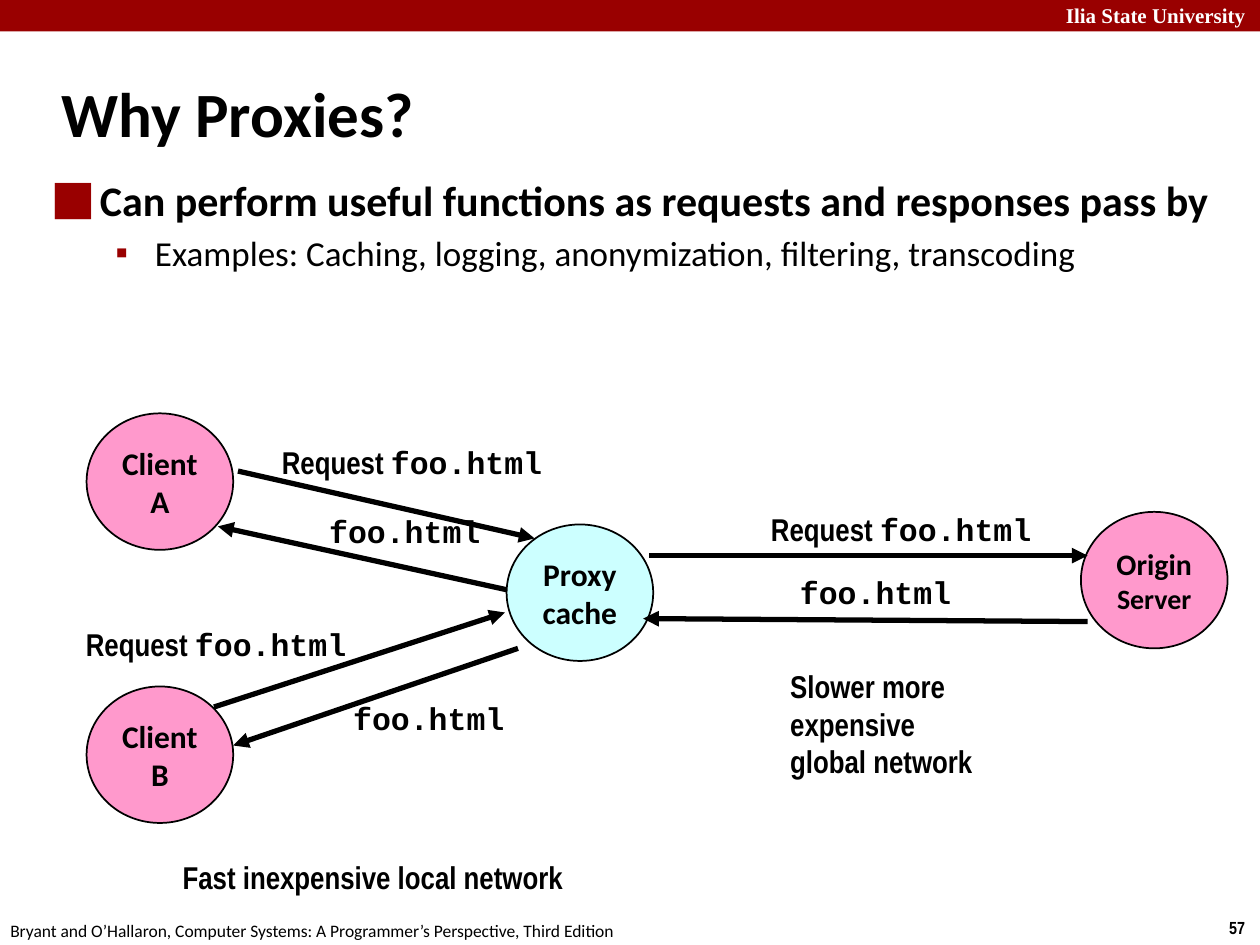
from pptx import Presentation
from pptx.dml.color import RGBColor
from pptx.enum.shapes import MSO_CONNECTOR, MSO_SHAPE
from pptx.enum.text import MSO_ANCHOR, MSO_AUTO_SIZE, PP_ALIGN
from pptx.oxml.ns import qn
from pptx.util import Pt
from lxml import etree

LEFT, CENTER = PP_ALIGN.LEFT, PP_ALIGN.CENTER
TOP, MIDDLE = MSO_ANCHOR.TOP, MSO_ANCHOR.MIDDLE
NO_AUTOSIZE = MSO_AUTO_SIZE.NONE
RECTANGLE, OVAL = MSO_SHAPE.RECTANGLE, MSO_SHAPE.OVAL
STRAIGHT = MSO_CONNECTOR.STRAIGHT

THEME = {
    "red": "990000", "pink": "FF99CC", "cyan": "CCFFFF",
    "black": "000000", "white": "FFFFFF",
    "body": "Calibri", "label": "Arial Narrow",
    "code": "Courier New", "brand": "Times New Roman",
    "title_size": 36, "point_size": 24, "example_size": 20,
    "label_size": 18, "brand_size": 12, "footer_size": 10,
}


# Content: a run is (text, font, size, bold, colour)
def run(text, font="label", size=THEME["label_size"], bold=True, color="black"):
    return text, THEME[font], size, bold, THEME[color]


FILE = run("foo.html", "code")
REQUEST = [[run("Request "), FILE]]
RESPONSE = [[FILE]]

TITLE = [[run("Why Proxies?", "body", THEME["title_size"])]]
POINTS = [
    [run("Can perform useful functions as requests and responses pass by",
         "body", THEME["point_size"])],
    [run("Examples: Caching, logging, anonymization, filtering, transcoding",
         "body", THEME["example_size"], False)],
]
# Bullet, left margin, hanging indent, space before
BULLETS = [("⬛", 27, 27, 0), ("▪", 58.5, 22.5, 4)]

# Left, top, fill, lines of (text, size)
NODE_SIZE = (83.8, 78)
NODES = [
    (49.5, 236.2, "pink", [("Client", 18), ("A", 18)]),
    (289.5, 299.7, "cyan", [("Proxy", 18), ("cache", 18)]),
    (617.7, 292.5, "pink", [("Origin", 17), ("Server", 16)]),
    (49.5, 392.3, "pink", [("Client", 18), ("B", 18)]),
]

# Start, end, label, label left, top and width
MESSAGES = [
    ((136, 269.2), (305.5, 307.7), REQUEST, (154, 249.5, 164)),
    ((289.5, 337), (124.5, 300.8), RESPONSE, (181, 289, 101.5)),
    ((371, 317.5), (621.5, 317.5), REQUEST, (433.5, 288, 164)),
    ((621.5, 355.2), (367.5, 353.5), RESPONSE, (450, 324, 101.5)),
    ((122.3, 404), (288.5, 350), REQUEST, (42, 353.7, 164)),
    ((296, 370.5), (133.3, 426), RESPONSE, (194.7, 396, 101.5)),
]

NOTES = [
    (97.3, 486.5, 235, 29, [[run("Fast inexpensive local network")]]),
    (444.5, 377.5, 133, 73,
     [[run(t)] for t in ("Slower more", "expensive", "global network")]),
]
FURNITURE = [
    (602, -2, 123, 22,
     [[run("Ilia State University", "brand", THEME["brand_size"], color="white")]]),
    (695.3, 520.5, 24.7, 19.5, [[run("57", size=THEME["footer_size"])]]),
    (-1.2, 522, 366, 19.5,
     [[run("Bryant and O’Hallaron, Computer Systems: A Programmer’s Perspective, "
           "Third Edition", "body", THEME["footer_size"], False)]]),
]


def rgb(name):
    return RGBColor.from_string(THEME[name])


def write(tf, paragraphs, align=LEFT, anchor=TOP, wrap=True):
    tf.word_wrap = wrap
    tf.auto_size = NO_AUTOSIZE
    tf.vertical_anchor = anchor
    tf.margin_left = tf.margin_right = Pt(7.2)
    tf.margin_top = tf.margin_bottom = Pt(3.6)
    for i, runs in enumerate(paragraphs):
        p = tf.add_paragraph() if i else tf.paragraphs[0]
        p.alignment = align
        for text, font, size, bold, color in runs:
            r = p.add_run()
            r.text = text
            r.font.name, r.font.size, r.font.bold = font, Pt(size), bold
            r.font.color.rgb = RGBColor.from_string(color)


def add_text(s, x, y, w, h, paragraphs, wrap=False):
    tf = s.shapes.add_textbox(Pt(x), Pt(y), Pt(w), Pt(h)).text_frame
    write(tf, paragraphs, wrap=wrap)
    return tf


def add_shape(s, kind, x, y, w, h, fill):
    sp = s.shapes.add_shape(kind, Pt(x), Pt(y), Pt(w), Pt(h))
    sp.shadow.inherit = False
    sp.fill.solid()
    sp.fill.fore_color.rgb = rgb(fill)
    return sp


def add_arrow(s, start, end):
    arrow = s.shapes.add_connector(STRAIGHT, *(Pt(v) for v in start + end))
    arrow.line.width = Pt(3)
    arrow.line.color.rgb = rgb("black")
    spPr = arrow._element.spPr
    etree.SubElement(spPr.find(qn("a:ln")), qn("a:tailEnd"), type="triangle")
    etree.SubElement(spPr, qn("a:effectLst"))


def add_bullet(p, char, margin, hanging, before):
    pPr = p._p.get_or_add_pPr()
    pPr.set("marL", str(Pt(margin)))
    pPr.set("indent", str(-Pt(hanging)))
    p.space_before = Pt(before)
    color = etree.SubElement(pPr, qn("a:buClr"))
    etree.SubElement(color, qn("a:srgbClr"), val=THEME["red"])
    # A text font lets the square glyphs be found
    etree.SubElement(pPr, qn("a:buFont"), typeface=THEME["body"])
    etree.SubElement(pPr, qn("a:buChar"), char=char)


def main():
    prs = Presentation()
    prs.slide_width, prs.slide_height = Pt(720), Pt(540)
    s = prs.slides.add_slide(prs.slide_layouts[5])

    # Top band and footer
    band = add_shape(s, RECTANGLE, 0, 0, 720, 18, "red")
    band.line.fill.background()
    for item in FURNITURE:
        add_text(s, *item)

    # Title and bullets
    title = s.shapes.title
    title.left, title.top, title.width, title.height = (
        Pt(28), Pt(34), Pt(597.5), Pt(60))
    write(title.text_frame, TITLE, anchor=MIDDLE)
    tf = add_text(s, 23, 96, 679, 130, POINTS, wrap=True)
    for p, bullet in zip(tf.paragraphs, BULLETS):
        add_bullet(p, *bullet)

    # Network nodes
    for x, y, fill, lines in NODES:
        sp = add_shape(s, OVAL, x, y, *NODE_SIZE, fill)
        sp.line.color.rgb = rgb("black")
        sp.line.width = Pt(1)
        write(sp.text_frame, [[run(t, "body", size)] for t, size in lines],
              CENTER, MIDDLE, wrap=False)

    # Messages between the nodes
    for start, end, label, (x, y, w) in MESSAGES:
        add_arrow(s, start, end)
        add_text(s, x, y, w, 29, label)

    # Notes on each network
    for note in NOTES:
        add_text(s, *note)

    prs.save("out.pptx")


if __name__ == "__main__":
    main()
